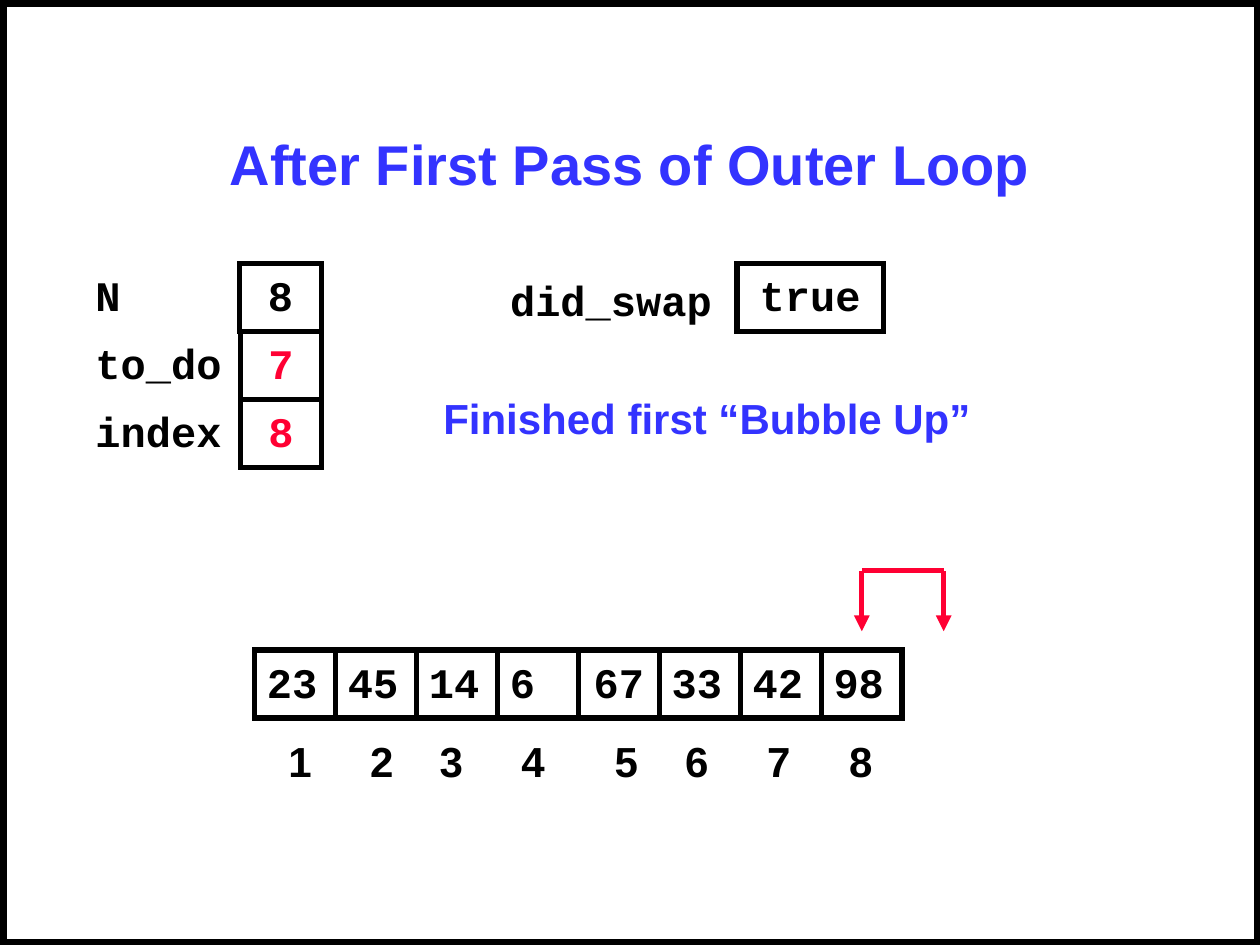
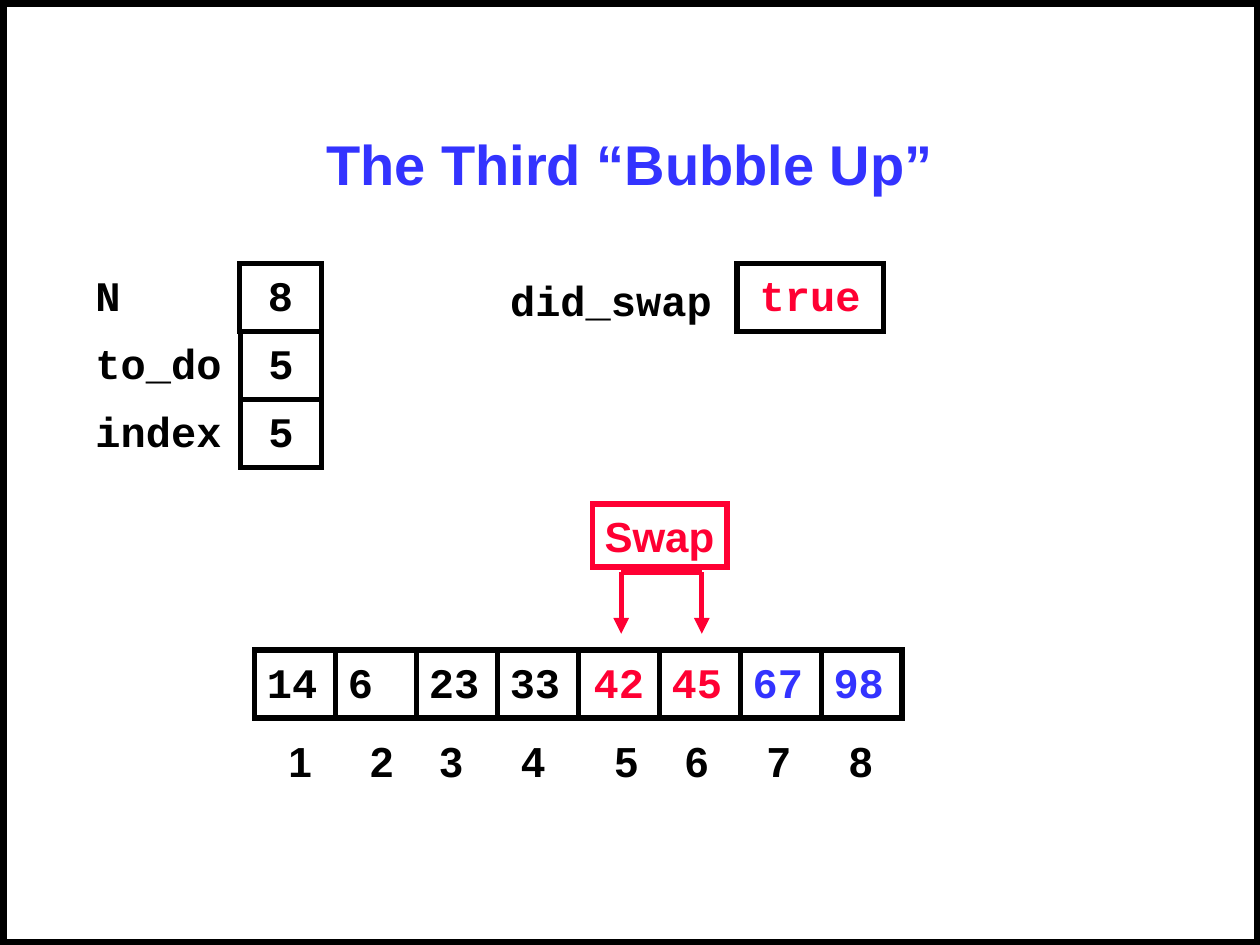
import pptx
import pptx.util
import pptx.dml.color
import pptx.enum.shapes
import pptx.enum.text
import pptx.oxml.ns
from lxml import etree

Inches, Pt = pptx.util.Inches, pptx.util.Pt
RGBColor = pptx.dml.color.RGBColor
qn = pptx.oxml.ns.qn
RECT = pptx.enum.shapes.MSO_SHAPE.RECTANGLE
STRAIGHT = pptx.enum.shapes.MSO_CONNECTOR.STRAIGHT
ANCHOR = pptx.enum.text.MSO_ANCHOR
LEFT, CENTER = pptx.enum.text.PP_ALIGN.LEFT, pptx.enum.text.PP_ALIGN.CENTER

BLACK = RGBColor(0x00, 0x00, 0x00)
BLUE = RGBColor(0x33, 0x33, 0xFF)
RED = RGBColor(0xFF, 0x00, 0x33)
SANS, MONO = "Arial", "Courier New"

ROW_H = 0.54
LABEL_H = 0.5
# Tab stops of the index row, measured from the first index
INDEX_TABS = (0.65, 1.20, 1.85, 2.59, 3.15, 3.80, 4.45)


def write(tf, text, align=LEFT, anchor=ANCHOR.TOP, **font):
    """Fill a text frame with one bold line."""
    tf.vertical_anchor = anchor
    p = tf.paragraphs[0]
    p.alignment = align
    r = p.add_run()
    r.text = text
    color = font.pop("color", BLACK)
    for key, value in {"name": MONO, "size": Pt(24), "bold": True, **font}.items():
        setattr(r.font, key, value)
    r.font.color.rgb = color
    return p


def outline(s, box, color=BLACK, width=3):
    """Unfilled rectangle with sharp corners."""
    sp = s.shapes.add_shape(RECT, *map(Inches, box))
    sp.shadow.inherit = False
    sp.fill.background()
    sp.line.color.rgb = color
    sp.line.width = Pt(width)
    etree.SubElement(sp.line._get_or_add_ln(), qn("a:miter"), lim="800000")
    return sp


def cell(s, box, text, line=BLACK, **fmt):
    tf = outline(s, box, line).text_frame
    tf.word_wrap = False
    write(tf, text, **fmt)


def label(s, box, text, **fmt):
    """Text box without a right margin, so that its line fits the width."""
    tf = s.shapes.add_textbox(*map(Inches, box)).text_frame
    tf.word_wrap = False
    tf.margin_right = 0
    return write(tf, text, **fmt)


def titled_slide(prs, title):
    s = prs.slides.add_slide(prs.slide_layouts[5])
    outline(s, (0.03, 0.03, 9.95, 7.45), width=3.75)
    sp = s.shapes.title
    sp.left, sp.top, sp.width, sp.height = map(Inches, (0.75, 0.67, 8.5, 1.25))
    write(sp.text_frame, title, CENTER, ANCHOR.MIDDLE,
          name=SANS, size=Pt(32), color=BLUE)
    return s


def variables(s, x, y, values):
    """Column of names with a boxed (value, colour) beside each."""
    for i, (name, (value, color)) in enumerate(zip(("N", "to_do", "index"), values)):
        top = y + i * ROW_H
        inset = 0 if i == 0 else 0.01
        label(s, (x, top, 1.2, LABEL_H), name)
        cell(s, (x + 1.24 + inset, top, 0.65 - inset, ROW_H), value,
             align=CENTER, color=color)


def swap_flag(s, x, y, color):
    label(s, (x, y + 0.04, 2.6, LABEL_H), "did_swap")
    cell(s, (x + 1.9, y, 1.16, ROW_H), "true", align=CENTER, color=color)


def number_array(s, x, y, w, values):
    """Row of number cells with the indexes 1 to 8 below."""
    pitch = w / len(values)
    for i, (number, color) in enumerate(values):
        cell(s, (x + i * pitch, y, pitch, ROW_H), number, color=color,
             align=CENTER if i == 4 else LEFT)
    indexes = "\t".join(str(i + 1) for i in range(len(values)))
    p = label(s, (x + 0.17, y + 0.63, 4.83, LABEL_H), indexes, name=SANS)
    tabs = etree.SubElement(p._p.get_or_add_pPr(), qn("a:tabLst"))
    for stop in INDEX_TABS:
        etree.SubElement(tabs, qn("a:tab"), pos=str(Inches(stop)), algn="l")


def compare_bracket(s, x, y, w, h):
    """Red bracket whose two arrows point down at neighbouring cells."""
    group = s.shapes.add_group_shape()
    right, bottom = x + w, y + h
    for ends, arrow in (((x, bottom, x, y), True),
                        ((right, bottom, right, y), True),
                        ((x, y, right, y), False)):
        line = group.shapes.add_connector(STRAIGHT, *map(Inches, ends))
        line.line.color.rgb = RED
        line.line.width = Pt(3)
        if arrow:
            etree.SubElement(line.line._get_or_add_ln(), qn("a:headEnd"), type="triangle")
        etree.SubElement(line._element.spPr, qn("a:effectLst"))


def loop_state(prs, title, state, flag_color, numbers, bracket):
    """Slide with the loop variables, the flag and the array."""
    s = titled_slide(prs, title)
    number_array(s, 2.02, 5.16, 5.14, numbers)
    variables(s, 0.66, 2.09, state)
    compare_bracket(s, *bracket)
    swap_flag(s, 3.95, 2.09, flag_color)
    return s


def main():
    prs = pptx.Presentation()
    prs.slide_width, prs.slide_height = Inches(10), Inches(7.5)

    # First pass finished
    s = loop_state(
        prs, "After First Pass of Outer Loop",
        [("8", BLACK), ("7", RED), ("8", RED)], BLACK,
        [(n, BLACK) for n in "23 45 14 6 67 33 42 98".split()],
        (6.84, 4.53, 0.65, 0.48))
    label(s, (3.42, 3.07, 4.38, LABEL_H), "Finished first “Bubble Up”",
          name=SANS, color=BLUE)

    # Swap during the third pass
    colors = [BLACK] * 4 + [RED] * 2 + [BLUE] * 2
    s = loop_state(
        prs, "The Third “Bubble Up”",
        [("8", BLACK), ("5", BLACK), ("5", BLACK)], RED,
        list(zip("14 6 23 33 42 45 67 98".split(), colors)),
        (4.93, 4.54, 0.64, 0.49))
    cell(s, (4.7, 4, 1.07, LABEL_H), "Swap", line=RED, name=SANS, color=RED)

    prs.save("out.pptx")


if __name__ == "__main__":
    main()
